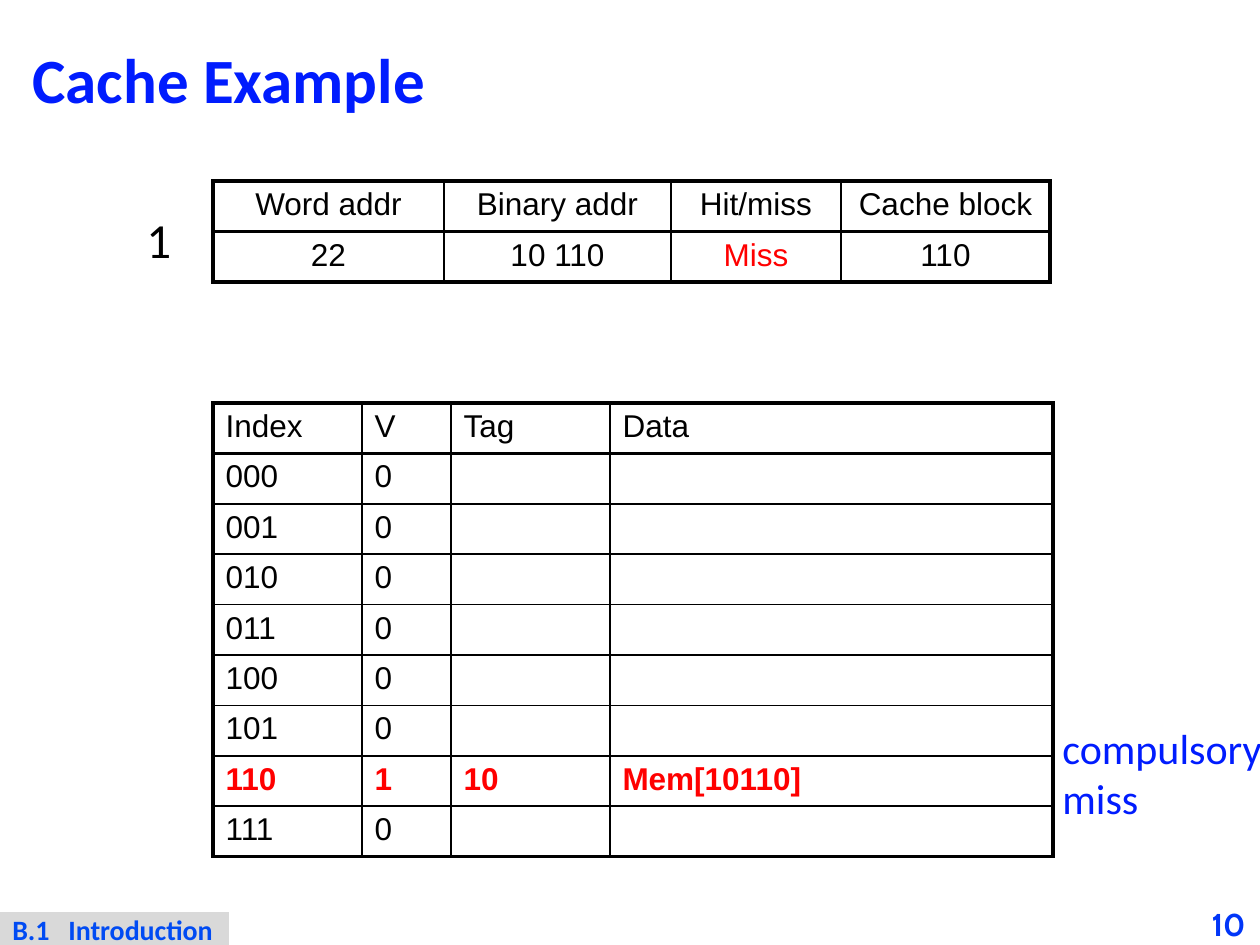
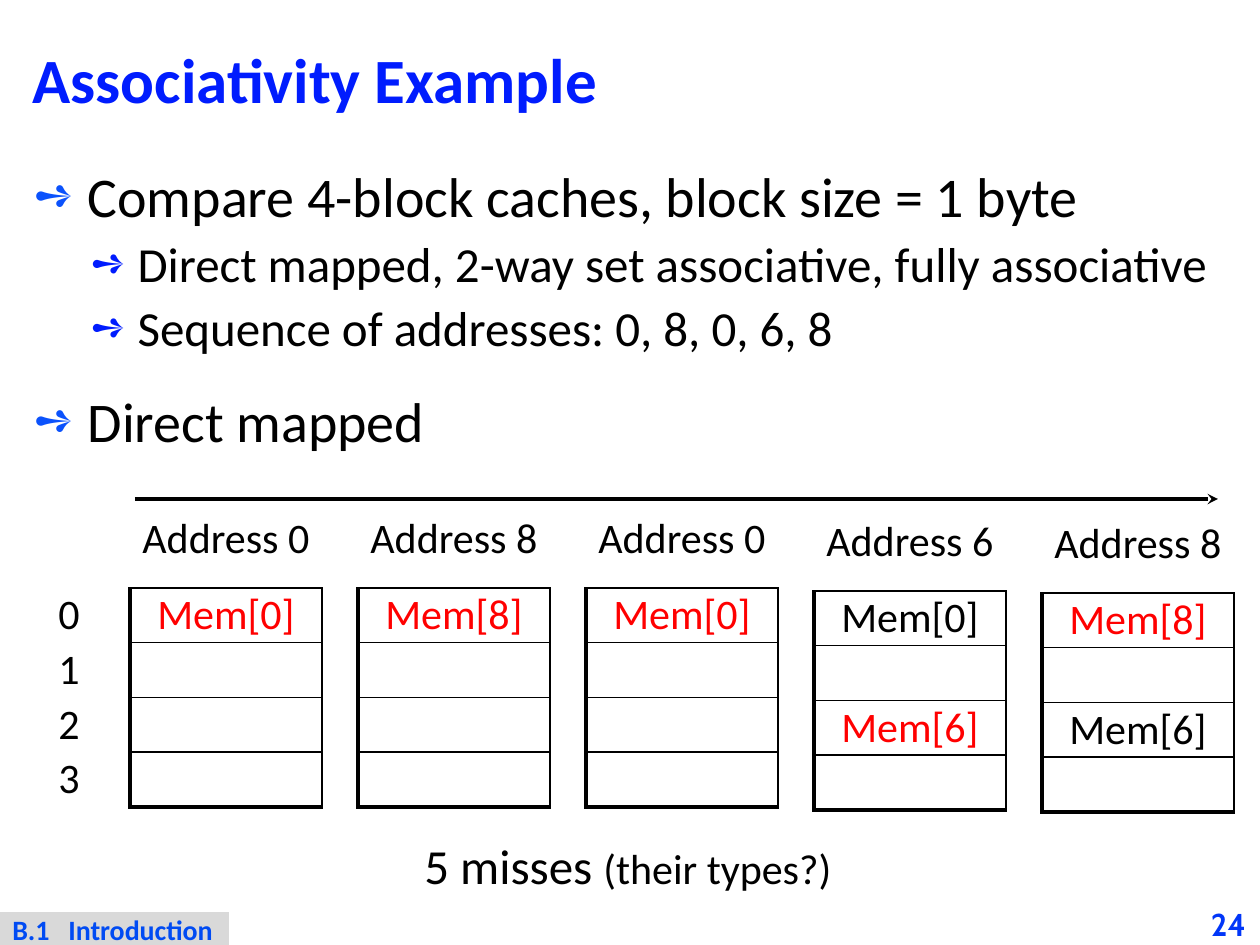
from lxml import etree
from pptx import Presentation
from pptx import util as u
from pptx.dml import color
from pptx.enum import shapes, text
from pptx.oxml import ns

# Shared look
BLACK, RED, WHITE = "000000", "FF0000", "FFFFFF"
TITLE_BLUE, BULLET_BLUE = "001CFE", "0B52FC"
FOOTER_BLUE, NUMBER_BLUE, BAND_GREY = "004BF3", "0136F8", "D9D9D9"
FOOTER = "B.1\tIntroduction"
FRAMED = dict(left=2.25, top=2.25, right=2.25, bottom=2.25, header=1.5, inner=1)
BLOCK = dict(left=2.25, top=1, right=1, bottom=2.25, header=1, inner=1)
LEFT, CENTER = text.PP_ALIGN.LEFT, text.PP_ALIGN.CENTER

# Slide 1 content
ACCESS = [
    ["Word addr", "Binary addr", "Hit/miss", "Cache block"],
    ["22", "10 110", "Miss", "110"],
]
ACCESS_WIDTHS = [231, 227, 170, 209]
FILLED_INDEX = "110"
CACHE = [["Index", "V", "Tag", "Data"]]
for number in range(8):
    index = f"{number:03b}"
    filled = index == FILLED_INDEX
    CACHE.append([index, "1", "10", "Mem[10110]"] if filled else [index, "0", "", ""])
CACHE_WIDTHS = [149, 89, 159, 443]

# Slide 2 content: (level, text, space before in points)
BULLETS = [
    (0, "Compare 4-block caches, block size = 1 byte", 0),
    (1, "Direct mapped, 2-way set associative, fully associative", 0),
    (1, "Sequence of addresses: 0, 8, 0, 6, 8", 0),
    (0, "Direct mapped", 14),
]
BULLET_LEVELS = [  # size, left margin, hanging indent, bullet colour
    (32, 55, -54, BULLET_BLUE),
    (28, 105, -47, TITLE_BLUE),
]
# address, cache contents, row of the new block, vertical offset
ACCESSES = [
    ("Address 0", ["Mem[0]", "", "", ""], 0, 0),
    ("Address 8", ["Mem[8]", "", "", ""], 0, 0),
    ("Address 0", ["Mem[0]", "", "", ""], 0, 0),
    ("Address 6", ["Mem[0]", "", "Mem[6]", ""], 2, 3),
    ("Address 8", ["Mem[8]", "", "Mem[6]", ""], 0, 5),
]
FIRST_BLOCK_X, BLOCK_STEP, BLOCK_WIDTH = 130, 228, 192
LABEL_Y, BLOCK_Y, BLOCK_HEIGHT = 505, 588, 219


def px(length):
    return u.Emu(round(length * 914400 / 126))


def rgb(value):
    return color.RGBColor.from_string(value)


def write(paragraph, content, size=24, font="Calibri", colour=BLACK, bold=False, align=LEFT):
    run = paragraph.add_run()
    run.text = content
    run.font.size, run.font.name, run.font.bold = u.Pt(size), font, bold
    run.font.color.rgb = rgb(colour)
    paragraph.alignment = align
    return run


def place(shape, left, top, width, height):
    shape.left, shape.top = px(left), px(top)
    shape.width, shape.height = px(width), px(height)


def add_text(slide, box, lines, **style):
    shape = slide.shapes.add_textbox(*map(px, box))
    frame = shape.text_frame
    frame.word_wrap = False
    frame.auto_size = text.MSO_AUTO_SIZE.SHAPE_TO_FIT_TEXT
    for position, line in enumerate(lines):
        paragraph = frame.paragraphs[0] if position == 0 else frame.add_paragraph()
        write(paragraph, line, **style)
    return frame


def add_child(parent, tag, **attributes):
    element = etree.SubElement(parent, ns.qn(tag))
    for name, value in attributes.items():
        element.set(name, str(value))
    return element


# Tables
def add_borders(cell, widths):
    properties = cell._tc.get_or_add_tcPr()
    for side, width in zip("LRTB", widths):
        line = add_child(properties, f"a:ln{side}", w=int(u.Pt(width)))
        if width:
            add_child(add_child(line, "a:solidFill"), "a:srgbClr", val=BLACK)
        else:
            add_child(line, "a:noFill")


def cell_borders(row, column, row_count, column_count, border):
    if border is None:
        return 0, 0, 0, 0
    inner, header = border["inner"], border["header"]
    return (
        border["left"] if column == 0 else inner,
        border["right"] if column == column_count - 1 else inner,
        border["top"] if row == 0 else header if row == 1 else inner,
        border["bottom"] if row == row_count - 1 else header if row == 0 else inner,
    )


def add_table(slide, left, top, height, widths, rows, border=None, red=(),
              red_bold=False, margin=0, anchor=text.MSO_ANCHOR.MIDDLE, **style):
    row_count, column_count = len(rows), len(widths)
    table = slide.shapes.add_table(row_count, column_count, px(left), px(top),
                                   px(sum(widths)), px(height)).table
    table.first_row = table.horz_banding = False
    for column, width in zip(table.columns, widths):
        column.width = px(width)
    for r, values in enumerate(rows):
        table.rows[r].height = px(height / row_count)
        for c, value in enumerate(values):
            cell = table.cell(r, c)
            add_borders(cell, cell_borders(r, c, row_count, column_count, border))
            cell.fill.background()
            cell.vertical_anchor = anchor
            cell.margin_top = cell.margin_bottom = px(margin if value else 0)
            if value:
                marked = (r, c) in red
                write(cell.text_frame.paragraphs[0], value, bold=marked and red_bold,
                      colour=RED if marked else BLACK, **style)


# Parts on every slide
def add_slide(presentation, layout, title, number):
    slide = presentation.slides.add_slide(presentation.slide_layouts[layout])
    place(slide.shapes.title, 20, 20, 1220, 127)
    frame = slide.shapes.title.text_frame
    frame.auto_size = text.MSO_AUTO_SIZE.NONE
    frame.vertical_anchor = text.MSO_ANCHOR.MIDDLE
    frame.paragraphs[0].line_spacing = 0.87
    write(frame.paragraphs[0], title, size=36, colour=TITLE_BLUE, bold=True)

    band = slide.shapes.add_shape(shapes.MSO_SHAPE.RECTANGLE, *map(px, (0, 912, 229, 34)))
    band.shadow.inherit = False
    band.fill.solid()
    band.fill.fore_color.rgb = rgb(BAND_GREY)
    band.line.fill.background()
    frame = band.text_frame
    frame.margin_top = frame.margin_bottom = frame.margin_right = 0
    paragraph = frame.paragraphs[0]
    tabs = add_child(paragraph._p.get_or_add_pPr(), "a:tabLst")
    add_child(tabs, "a:tab", pos=px(56), algn="l")
    write(paragraph, FOOTER, size=16, colour=FOOTER_BLUE, bold=True)

    frame = add_text(slide, (1197, 903, 63, 42), [str(number)], size=18, font="Cabin",
                     colour=NUMBER_BLUE, bold=True, align=CENTER)
    frame.auto_size = text.MSO_AUTO_SIZE.NONE
    frame.word_wrap = True
    frame.vertical_anchor = text.MSO_ANCHOR.MIDDLE
    frame.margin_left = frame.margin_right = frame.margin_top = frame.margin_bottom = 0
    return slide


def add_bullets(body):
    place(body, 20, 155, 1220, 765)
    frame = body.text_frame
    frame.auto_size = text.MSO_AUTO_SIZE.NONE
    for position, (level, content, before) in enumerate(BULLETS):
        size, margin, indent, colour = BULLET_LEVELS[level]
        paragraph = frame.paragraphs[0] if position == 0 else frame.add_paragraph()
        paragraph.level = level
        properties = paragraph._p.get_or_add_pPr()
        properties.set("marL", str(px(margin)))
        properties.set("indent", str(px(indent)))
        add_child(add_child(properties, "a:buClr"), "a:srgbClr", val=colour)
        add_child(properties, "a:buSzPct", val=85000)
        add_child(properties, "a:buChar", char="➺")
        paragraph.space_before, paragraph.space_after = u.Pt(before), u.Pt(3)
        write(paragraph, content, size=size)


def add_time_arrow(slide):
    arrow = slide.shapes.add_connector(shapes.MSO_CONNECTOR.STRAIGHT,
                                       *map(px, (135, 499, 1218, 499)))
    arrow.line.color.rgb = rgb(BLACK)
    arrow.line.width = u.Pt(2)
    add_child(arrow.line._get_or_add_ln(), "a:tailEnd", type="stealth")
    add_child(arrow._element.spPr, "a:effectLst")


def build_cache_slide(presentation):
    slide = add_slide(presentation, 5, "Cache Example", 10)
    cell_style = dict(border=FRAMED, margin=6, anchor=text.MSO_ANCHOR.TOP,
                      size=18, font="Arial")
    filled_row = [row[0] for row in CACHE].index(FILLED_INDEX)
    add_table(slide, 213, 403, 454, CACHE_WIDTHS, CACHE, red_bold=True,
              red=[(filled_row, column) for column in range(4)], **cell_style)
    add_table(slide, 213, 181, 101, ACCESS_WIDTHS, ACCESS, red=[(1, 2)],
              align=CENTER, **cell_style)
    add_text(slide, (134, 203, 50, 72), ["1"], size=28)
    add_text(slide, (1050, 716, 236, 115), ["compulsory", "miss"], colour=TITLE_BLUE)


def build_associativity_slide(presentation):
    slide = add_slide(presentation, 1, "Associativity Example", 24)
    add_bullets(slide.placeholders[1])
    add_time_arrow(slide)
    add_table(slide, 25, BLOCK_Y, BLOCK_HEIGHT, [88], [[str(i)] for i in range(4)],
              align=CENTER)
    for position, (address, blocks, new_row, offset) in enumerate(ACCESSES):
        left = FIRST_BLOCK_X + position * BLOCK_STEP
        add_text(slide, (left, LABEL_Y + offset, 193, 63), [address])
        add_table(slide, left, BLOCK_Y + offset, BLOCK_HEIGHT, [BLOCK_WIDTH],
                  [[block] for block in blocks], border=BLOCK, red=[(new_row, 0)],
                  align=CENTER)
    frame = add_text(slide, (412, 829, 437, 72), ["5 misses "], size=28)
    write(frame.paragraphs[0], "(their types?)")


def main():
    presentation = Presentation()
    presentation.slide_width, presentation.slide_height = px(1260), px(945)
    build_cache_slide(presentation)
    build_associativity_slide(presentation)
    presentation.save("out.pptx")


if __name__ == "__main__":
    main()
